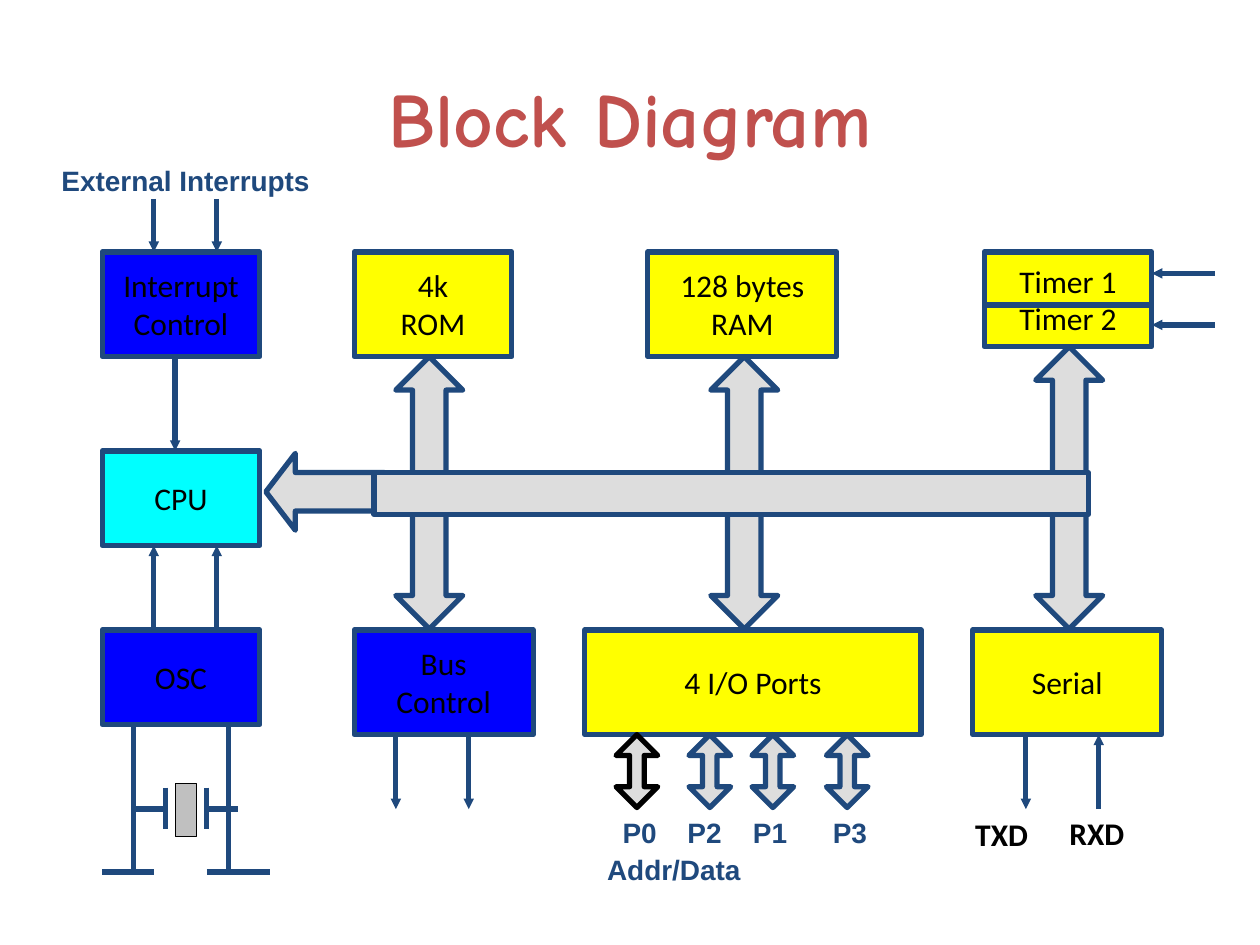
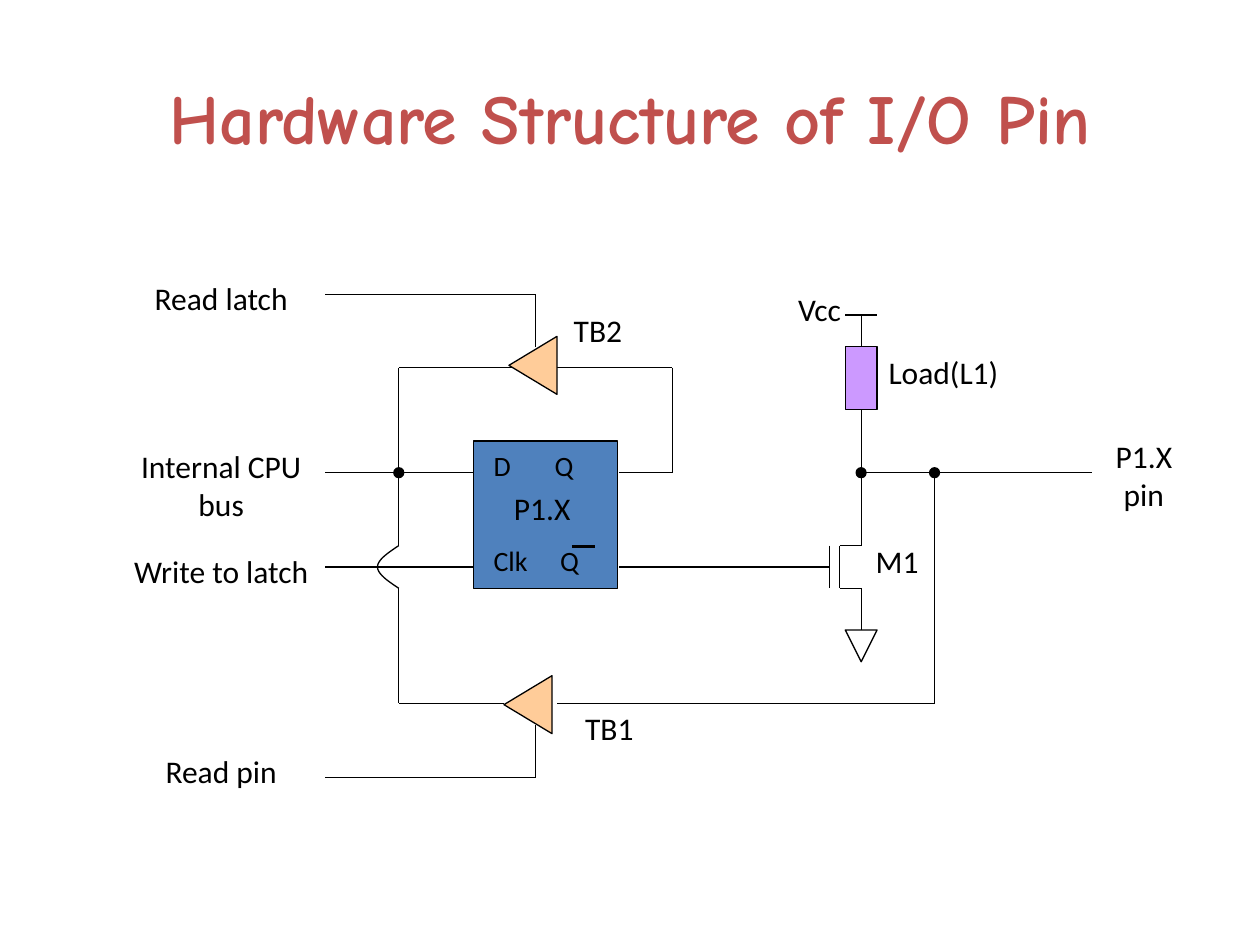
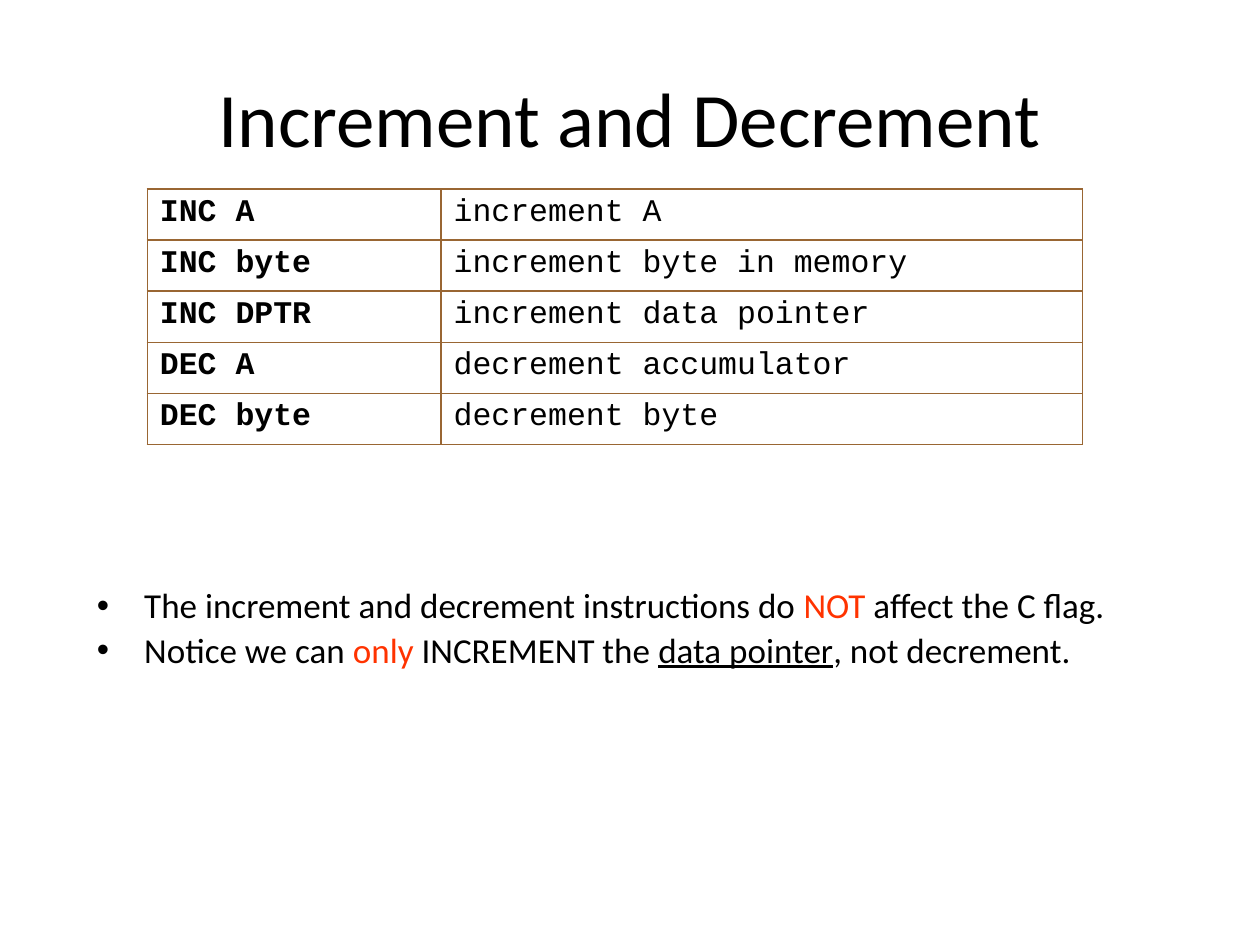
"""Build three slides on a microcontroller's blocks, its I/O pin and its INC/DEC instructions."""
from itertools import pairwise

from lxml import etree
from pptx import Presentation
from pptx import util as u
from pptx.dml.color import RGBColor
from pptx.enum import shapes, text
from pptx.oxml.ns import qn

COLORS = {
    "black": "000000", "navy": "1F497D", "title": "C0504D", "blue": "0000FF",
    "cyan": "00FFFF", "yellow": "FFFF00", "bus": "DDDDDD", "crystal": "C0C0C0",
    "latch": "4F81BD", "buffer": "FFCC99", "load": "CC99FF", "accent": "FF3300",
    "border": "996633",
}
RGB = {name: RGBColor.from_string(value) for name, value in COLORS.items()}
PRESET = shapes.MSO_SHAPE
ALIGN = text.PP_ALIGN


def block(slide, preset, box, fill, line="navy", weight=3, adjust=()):
    """Add a preset shape with flat fill and outline."""
    part = slide.shapes.add_shape(preset, *map(u.Cm, box))
    part.shadow.inherit = False
    if fill:
        part.fill.solid()
        part.fill.fore_color.rgb = RGB[fill]
    else:
        part.fill.background()
    part.line.color.rgb = RGB[line]
    part.line.width = u.Pt(weight)
    for index, value in enumerate(adjust):
        part.adjustments[index] = value
    return part


def wire(slide, points, color="black", weight=0.75, arrow=False):
    """Join successive points with straight connectors."""
    for start, end in pairwise(points):
        segment = slide.shapes.add_connector(
            shapes.MSO_CONNECTOR.STRAIGHT, *map(u.Cm, (*start, *end)))
        segment.line.color.rgb = RGB[color]
        segment.line.width = u.Pt(weight)
        properties = segment._element.spPr
        if arrow:
            etree.SubElement(properties.find(qn("a:ln")), qn("a:tailEnd"),
                             type="triangle", w="sm", len="sm")
        etree.SubElement(properties, qn("a:effectLst"))


deck = Presentation()
deck.slide_width, deck.slide_height = u.Cm(25.4), u.Cm(19.05)

slides = []
for layout, heading, size, font, color, bold in [
    (5, "Block Diagram", 44, "Comic Neue", "title", True),
    (5, "Hardware Structure of I/O Pin", 40, "Comic Neue", "title", True),
    (1, "Increment and Decrement", 44, "Calibri", "black", False),
]:
    slide = deck.slides.add_slide(deck.slide_layouts[layout])
    title = slide.shapes.title
    title.left, title.top, title.width, title.height = map(u.Cm, (1.27, 0.76, 22.86, 3.18))
    title.text_frame.text = heading
    heading_font = title.text_frame.paragraphs[0].runs[0].font
    heading_font.size, heading_font.name, heading_font.bold = u.Pt(size), font, bold
    heading_font.color.rgb = RGB[color]
    slides.append(slide)
diagram, pin, instructions = slides

for caption, box, fill in [
    ("CPU", (2.06, 9.09, 3.18, 1.91), "cyan"),
    ("Interrupt\nControl", (2.06, 5.08, 3.18, 2.11), "blue"),
    ("OSC", (2.06, 12.7, 3.18, 1.91), "blue"),
    ("Bus\nControl", (7.14, 12.7, 3.61, 2.11), "blue"),
    ("4k\nROM", (7.14, 5.08, 3.18, 2.11), "yellow"),
    ("Timer 1\nTimer 2", (19.84, 5.08, 3.38, 1.91), "yellow"),
    ("Serial", (19.61, 12.7, 3.81, 2.11), "yellow"),
    ("128 bytes\nRAM", (13.06, 5.08, 3.81, 2.11), "yellow"),
    ("4 I/O Ports", (11.79, 12.7, 6.78, 2.11), "yellow"),
]:
    frame = block(diagram, PRESET.RECTANGLE, box, fill).text_frame
    frame.text = caption
    frame.word_wrap = False
    frame.vertical_anchor = text.MSO_ANCHOR.MIDDLE
    for paragraph in frame.paragraphs:
        paragraph.alignment = ALIGN.CENTER
        paragraph.font.size, paragraph.font.name = u.Pt(18), "Calibri"
        for run in paragraph.runs:
            run.font.color.rgb = RGB["black"]

block(diagram, PRESET.RECTANGLE, (3.53, 15.8, 0.43, 1.07), "crystal", "black", 0.5)

for points in [
    [(19.84, 6.15), (23.22, 6.15)],
    [(2.69, 14.61), (2.69, 17.58)],
    [(4.6, 14.61), (4.6, 17.58)],
    [(3.33, 16.31), (2.69, 16.31)],
    [(4.17, 16.31), (4.8, 16.31)],
    [(3.33, 15.88), (3.33, 16.71)],
    [(4.17, 15.88), (4.17, 16.71)],
    [(2.06, 17.58), (3.1, 17.58)],
    [(4.17, 17.58), (5.44, 17.58)],
]:
    wire(diagram, points, "navy", 3)

for timer_y in (5.51, 6.55):
    wire(diagram, [(24.49, timer_y), (23.22, timer_y)], "navy", 3, True)
for x, start, end in [
    (3.1, 4.01, 5.08), (4.37, 4.01, 5.08), (3.53, 7.19, 9.09),
    (3.1, 12.7, 11), (4.37, 12.7, 11),
    (7.98, 14.81, 16.31), (9.45, 14.81, 16.31),
    (20.68, 14.81, 16.31), (22.15, 16.31, 14.81),
]:
    wire(diagram, [(x, start), (x, end)], "navy", 3, True)

block(diagram, PRESET.LEFT_ARROW, (5.36, 9.14, 2.39, 1.55), "bus", adjust=(0.5, 0.384))
for x, top in [(7.98, 7.19), (14.33, 7.19), (20.88, 6.99)]:
    block(diagram, PRESET.UP_ARROW, (x, top, 1.35, 2.72), "bus", adjust=(0.5, 0.5))
    block(diagram, PRESET.DOWN_ARROW, (x, 9.96, 1.35, 2.72), "bus", adjust=(0.5, 0.5))
block(diagram, PRESET.RECTANGLE, (7.54, 9.53, 14.4, 0.84), "bus")
for x, outline in [(12.42, "black"), (13.89, "navy"), (15.16, "navy"), (16.66, "navy")]:
    block(diagram, PRESET.UP_DOWN_ARROW, (x, 14.81, 0.84, 1.47), "bus", outline,
          adjust=(0.5, 0.35))

block(pin, PRESET.RECTANGLE, (9.55, 8.89, 2.9, 2.97), "latch", "black", 0.75)
wire(pin, [(11.53, 11.02), (11.99, 11.02)], weight=2)
for points in [
    [(6.56, 5.93), (10.8, 5.93), (10.8, 6.99)],
    [(6.56, 15.67), (10.8, 15.67), (10.8, 14.61)],
    [(6.56, 9.53), (9.55, 9.53)],
    [(6.56, 11.43), (9.55, 11.43)],
    [(11.21, 7.41), (13.55, 7.41), (13.55, 9.53), (12.48, 9.53)],
    [(10.36, 7.41), (8.04, 7.41), (8.04, 11)],
    [(8.04, 11.86), (8.04, 14.18), (10.16, 14.18)],
    [(12.48, 11.43), (16.72, 11.43)],
    [(16.72, 11), (16.72, 11.86)],
    [(17.36, 8.26), (17.36, 11), (16.93, 11), (16.93, 11.86), (17.36, 11.86), (17.36, 12.7)],
    [(17.36, 9.53), (22.01, 9.53)],
    [(18.84, 9.53), (18.84, 14.18), (11.23, 14.18)],
    [(17.36, 6.35), (17.36, 6.99)],
    [(17.04, 6.35), (17.68, 6.35)],
]:
    wire(pin, points)

steps = [step / 10 for step in range(-10, 11)]
bend = [(8.04 - 0.43 * (1.5 * (1 - abs(s)) - 0.5 * (1 - abs(s)) ** 3), 11.43 + 0.43 * s)
        for s in steps]
outline = pin.shapes.build_freeform(*map(u.Cm, bend[0]))
outline.add_line_segments([(u.Cm(x), u.Cm(y)) for x, y in bend[1:]], close=False)
crossing = outline.convert_to_shape()
crossing.shadow.inherit = False
crossing.fill.background()
crossing.line.color.rgb = RGB["black"]
crossing.line.width = u.Pt(0.75)

block(pin, PRESET.RECTANGLE, (17.04, 6.99, 0.64, 1.27), "load", "black", 0.75)
for center in (8.04, 17.36, 18.84):
    block(pin, PRESET.OVAL, (center - 0.1, 9.43, 0.2, 0.2), "black", "black", 0.75)
for box, fill, turn in [
    ((10.16, 6.88, 1.17, 0.97), "buffer", 270),
    ((10.06, 13.72, 1.17, 0.97), "buffer", 270),
    ((17.04, 12.7, 0.64, 0.64), None, 180),
]:
    block(pin, PRESET.ISOSCELES_TRIANGLE, box, fill, "black", 0.75).rotation = turn

for slide, size, font, color, bold, align, height, labels in [
    (diagram, 16, "Arial", "navy", True, ALIGN.LEFT, 0.94, [
        ("External Interrupts", 0.99, 3.18, 5.72),
        ("P0", 12.3, 16.31, 1.4), ("P2", 13.61, 16.31, 1.4),
        ("P1", 14.93, 16.31, 1.4), ("P3", 16.54, 16.31, 1.4),
        ("Addr/Data", 11.99, 17.07, 3.61)]),
    (diagram, 18, "Calibri", "black", True, ALIGN.LEFT, 1.02, [
        ("TXD", 19.41, 16.31, 1.85), ("RXD", 21.31, 16.28, 1.88)]),
    (pin, 16, "Calibri", "black", False, ALIGN.LEFT, 0.94, [
        ("D", 9.7, 8.91, 1), ("Q", 10.93, 8.91, 1),
        ("Clk", 9.7, 10.84, 1.3), ("Q", 11.04, 10.84, 1)]),
    (pin, 18, "Calibri", "black", False, ALIGN.CENTER, 1.02, [
        ("Vcc", 15.67, 5.72, 1.7), ("Load(L1)", 17.43, 6.99, 3.18),
        ("Read latch", 2.34, 5.51, 4.24), ("Read pin", 2.34, 15.04, 4.24),
        ("Write to latch", 2.34, 11, 4.24), ("M1", 17.35, 10.8, 1.47),
        ("P1.X", 9.66, 9.73, 2.54), ("TB1", 11.23, 14.17, 2.11), ("TB2", 11, 6.15, 2.11)]),
    (pin, 18, "Calibri", "black", False, ALIGN.CENTER, 1.78, [
        ("Internal CPU bus", 2.34, 8.89, 4.24), ("P1.X pin", 21.79, 8.69, 2.54)]),
]:
    for caption, x, y, width in labels:
        frame = slide.shapes.add_textbox(*map(u.Cm, (x, y, width, height))).text_frame
        frame.text = caption
        frame.word_wrap = True
        frame.paragraphs[0].alignment = align
        label_font = frame.paragraphs[0].runs[0].font
        label_font.size, label_font.name, label_font.bold = u.Pt(size), font, bold
        label_font.color.rgb = RGB[color]

notes = instructions.placeholders[1]
notes.left, notes.top, notes.width, notes.height = map(u.Cm, (1.7, 11.73, 21.59, 3.61))
remarks = [
    [("The increment and decrement instructions do ", "black", False),
     ("NOT", "accent", False), (" affect the C flag.", "black", False)],
    [("Notice we can ", "black", False), ("only", "accent", False),
     (" INCREMENT the ", "black", False), ("data pointer", "black", True),
     (", not decrement.", "black", False)],
]
for index, remark in enumerate(remarks):
    frame = notes.text_frame
    paragraph = frame.add_paragraph() if index else frame.paragraphs[0]
    paragraph.line_spacing, paragraph.space_before = 0.9, u.Pt(4)
    for words, color, underline in remark:
        run = paragraph.add_run()
        run.text = words
        run.font.size, run.font.name, run.font.underline = u.Pt(20), "Calibri", underline
        run.font.color.rgb = RGB[color]

operations = [
    ("INC A", "increment A"),
    ("INC byte", "increment byte in memory"),
    ("INC DPTR", "increment data pointer"),
    ("DEC A", "decrement accumulator"),
    ("DEC byte", "decrement byte"),
]
table = instructions.shapes.add_table(
    len(operations), 2, *map(u.Cm, (2.97, 3.81, 18.85, 5.15))).table
table.first_row = table.horz_banding = False
table.columns[0].width, table.columns[1].width = u.Cm(5.92), u.Cm(12.93)
for row, operation in enumerate(operations):
    table.rows[row].height = u.Cm(1.03)
    for column, words in enumerate(operation):
        cell = table.cell(row, column)
        cell.text_frame.text = words
        cell.fill.background()
        cell_font = cell.text_frame.paragraphs[0].runs[0].font
        cell_font.size, cell_font.name, cell_font.bold = u.Pt(18), "Courier New", column == 0
        cell_font.color.rgb = RGB["black"]
        properties = cell._tc.get_or_add_tcPr()
        for place, side in enumerate(("lnL", "lnR", "lnT", "lnB")):
            border = etree.Element(qn(f"a:{side}"), w=str(u.Pt(1)))
            paint = etree.SubElement(border, qn("a:solidFill"))
            etree.SubElement(paint, qn("a:srgbClr"), val=COLORS["border"])
            properties.insert(place, border)

deck.save("out.pptx")
